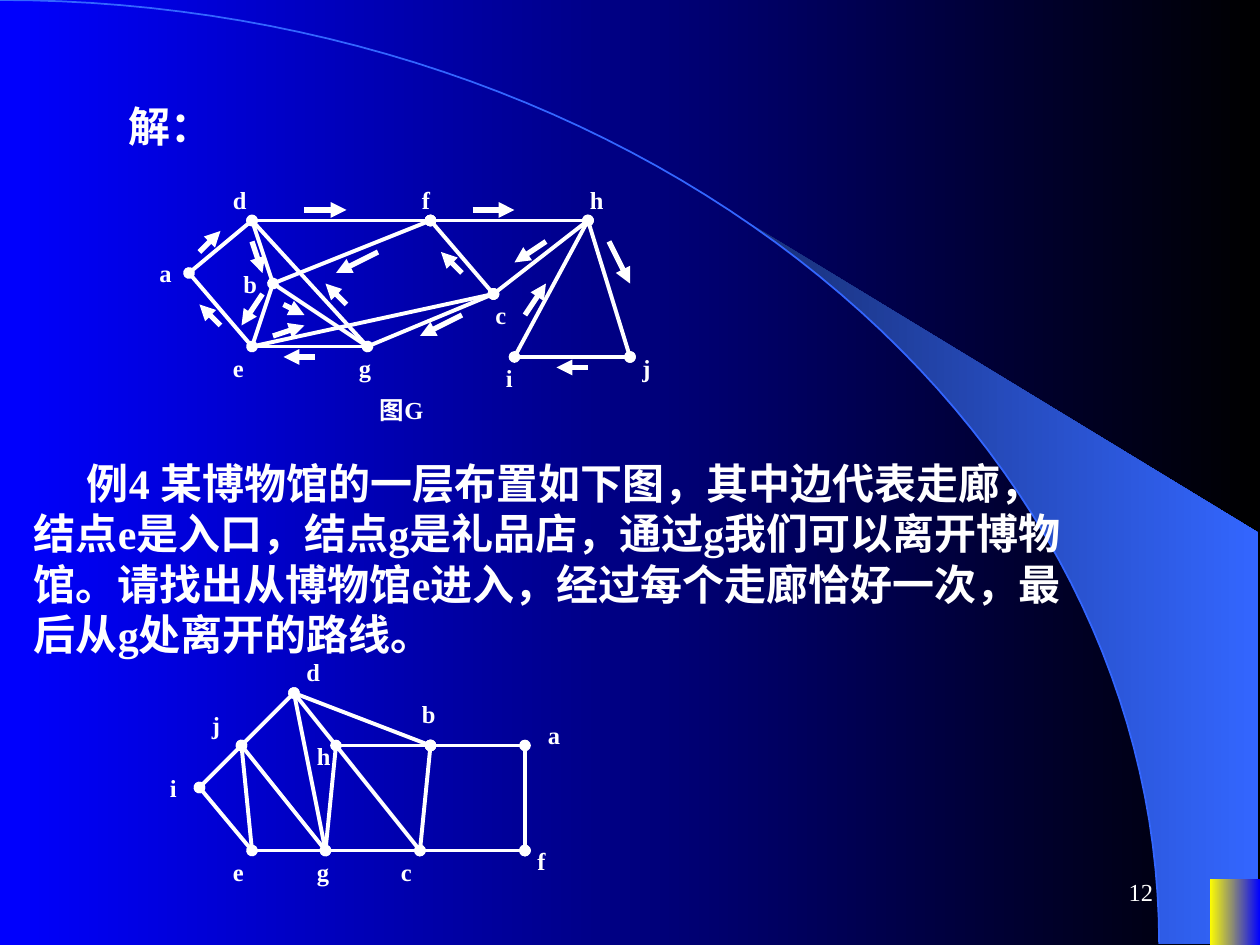
"""Build the slide with two graph exercises on Euler routes."""
import math

from lxml import etree
from pptx import Presentation
from pptx import util as u
from pptx.dml.color import RGBColor
from pptx.enum import shapes, text
from pptx.oxml.ns import qn

WHITE = "FFFFFF"
ARC_BLUE = "3366FF"
FONT = "Times New Roman"
UNIT = 1 / 12
LABEL_H = 0.34
INDENT = 0.42
ARC_W, ARC_H, ARC_RIGHT = 9.2, 7.49, 9.99

TITLE = ("解：", (0.5, 0.75, 8.42, 0.5))
EXAMPLE = (
    "例4 某博物馆的一层布置如下图，其中边代表走廊，结点e是入口，结点g是礼品店，"
    "通过g我们可以离开博物馆。请找出从博物馆e进入，经过每个走廊恰好一次，"
    "最后从g处离开的路线。",
    (0.17, 3.58, 8.42, 1.7),
)
NUMBER = ("12", (7.17, 6.83, 2.08, 0.5))

GRAPH_G = {
    "nodes": {"a": (18, 26), "b": (26, 27), "c": (47, 28), "d": (24, 21), "e": (24, 33),
              "f": (41, 21), "g": (35, 33), "h": (56, 21), "i": (49, 34), "j": (60, 34)},
    "plain": "bg eg ae db be dg fc hi",
    "dotted": "da df fb ce cg fh hc ij hj",
    "labels": {"d": (21, 17), "c": (46, 28), "b": (22, 25), "a": (14, 24), "f": (39, 17),
               "e": (21, 33), "g": (33, 33), "图G": (35, 37), "h": (55, 17), "j": (60, 33),
               "i": (47, 34)},
    "label_w": 0.35,
}
MUSEUM = {
    "nodes": {"a": (50, 71), "b": (41, 71), "c": (40, 81), "d": (28, 66), "e": (24, 81),
              "f": (50, 81), "g": (31, 81), "h": (32, 71), "i": (19, 75), "j": (23, 71)},
    "plain": "dj je eg dh hg gc hc ba",
    "dotted": "ji ie db jg dg hb bc cf af",
    "labels": {"a": (51, 68), "f": (50, 80), "e": (21, 81), "d": (28, 62), "c": (37, 81),
               "b": (39, 66), "i": (15, 73), "h": (29, 70), "g": (29, 81), "j": (19, 67)},
    "label_w": 0.43,
}
ROUTE = [
    ((19, 24), (21, 22)), ((29, 20), (33, 20)), ((45, 20), (49, 20)), ((58, 23), (60, 27)),
    ((56, 35), (53, 35)), ((50, 30), (52, 27)), ((52, 23), (49, 25)), ((44, 30), (40, 32)),
    ((30, 34), (27, 34)), ((26, 32), (29, 31)), ((44, 26), (42, 24)), ((36, 24), (32, 26)),
    ((27, 29), (29, 30)), ((33, 29), (31, 27)), ((24, 23), (25, 26)), ((25, 28), (23, 31)),
    ((21, 31), (19, 29)),
]


def rgb(value):
    return RGBColor.from_string(value)


def grid(point):
    return [u.Inches(n * UNIT) for n in point]


def gradient(fill, *colours):
    fill.gradient()
    fill.gradient_angle = 0
    for stop, colour, position in zip(fill.gradient_stops, colours, (0, 1)):
        stop.color.rgb = rgb(colour)
        stop.position = position


def write(sp, words, size, bold=True, indent=0, align=text.PP_ALIGN.LEFT,
          anchor=text.MSO_ANCHOR.TOP, fit=text.MSO_AUTO_SIZE.SHAPE_TO_FIT_TEXT):
    tf = sp.text_frame
    for name, value in {"word_wrap": True, "auto_size": fit, "vertical_anchor": anchor}.items():
        setattr(tf, name, value)
    p = tf.paragraphs[0]
    p.alignment = align
    if indent:
        p._p.get_or_add_pPr().set("indent", str(u.Inches(indent)))
    r = p.add_run()
    r.text = words
    for name, value in {"name": FONT, "size": u.Pt(size), "bold": bold}.items():
        setattr(r.font, name, value)
    r.font.color.rgb = rgb(WHITE)


def box(parent, words, at, size, **options):
    write(parent.add_textbox(*map(u.Inches, at)), words, size, **options)


def line(parent, start, end, width, head=None, tail=None):
    cx = parent.add_connector(shapes.MSO_CONNECTOR.STRAIGHT, *grid(start), *grid(end))
    cx.line.color.rgb = rgb(WHITE)
    cx.line.width = u.Pt(width)
    spPr = cx._element.spPr
    for tag, kind in (("a:headEnd", head), ("a:tailEnd", tail)):
        if kind:
            etree.SubElement(spPr.find(qn("a:ln")), qn(tag), type=kind)
    etree.SubElement(spPr, qn("a:effectLst"))


def graph(s, data):
    group = s.shapes.add_group_shape().shapes
    nodes = data["nodes"]
    for style, end in (("plain", None), ("dotted", "oval")):
        for start, stop in data[style].split():
            line(group, nodes[start], nodes[stop], 2.25, end, end)
    for words, (x, y) in data["labels"].items():
        width = data["label_w"] if len(words) == 1 else 1
        box(group, words, (x * UNIT, y * UNIT, width, LABEL_H), 14)


def arc(start, steps=60):
    angles = [start + (math.pi / 2 - start) * n / steps for n in range(steps + 1)]
    return [(ARC_W * math.sin(t), ARC_H * (1 - math.cos(t))) for t in angles]


def outline(s, points, close):
    first, *rest = [tuple(map(u.Inches, point)) for point in points]
    builder = s.shapes.build_freeform(*first)
    builder.add_line_segments(rest, close=close)
    sp = builder.convert_to_shape()
    sp.shadow.inherit = False
    return sp


def backdrop(s):
    gradient(s.background.fill, "0000FF", "000000")
    wedge = outline(s, arc(math.asin(5.89 / ARC_W)) + [(ARC_RIGHT, ARC_H), (ARC_RIGHT, 4.23)], True)
    gradient(wedge.fill, "182F76", ARC_BLUE)
    wedge.line.fill.background()
    curve = outline(s, arc(0), False)
    curve.fill.background()
    curve.line.color.rgb = rgb(ARC_BLUE)
    curve.line.width = u.Pt(1)
    corner = s.shapes.add_shape(shapes.MSO_SHAPE.RECTANGLE, *map(u.Inches, (9.6, 6.98, 0.4, 0.52)))
    corner.shadow.inherit = False
    gradient(corner.fill, "FFFF00", "0000FF")
    corner.line.fill.background()


def main():
    prs = Presentation()
    prs.slide_width, prs.slide_height = u.Inches(10), u.Inches(7.5)
    s = prs.slides.add_slide(prs.slide_layouts[5])
    backdrop(s)
    title = s.shapes.title
    words, at = TITLE
    for name, value in zip(("left", "top", "width", "height"), at):
        setattr(title, name, u.Inches(value))
    write(title, words, 24, indent=INDENT, fit=text.MSO_AUTO_SIZE.NONE)
    graph(s, GRAPH_G)
    for start, end in ROUTE:
        line(s.shapes, start, end, 3, tail="triangle")
    box(s.shapes, *EXAMPLE, 24, indent=INDENT)
    graph(s, MUSEUM)
    box(s.shapes, *NUMBER, 14, bold=False, align=text.PP_ALIGN.RIGHT,
        anchor=text.MSO_ANCHOR.MIDDLE, fit=text.MSO_AUTO_SIZE.NONE)
    prs.save("out.pptx")


if __name__ == "__main__":
    main()
